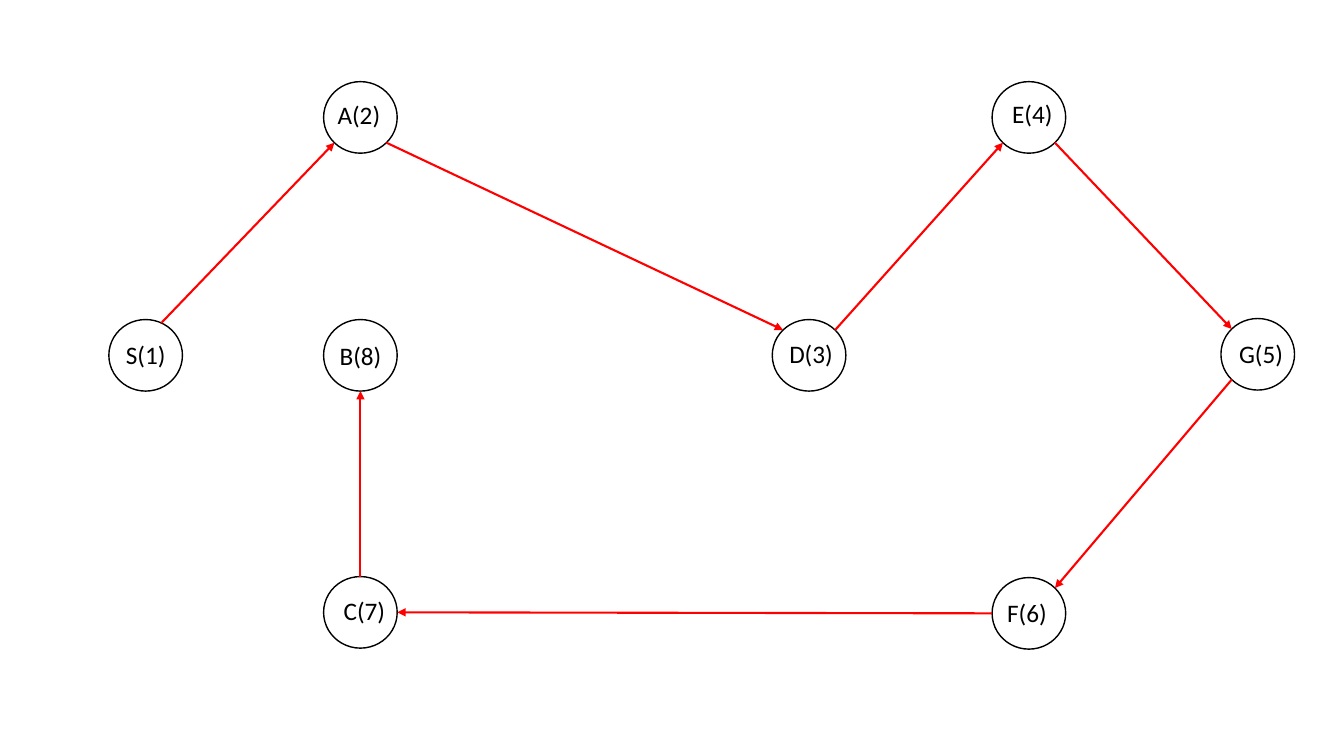
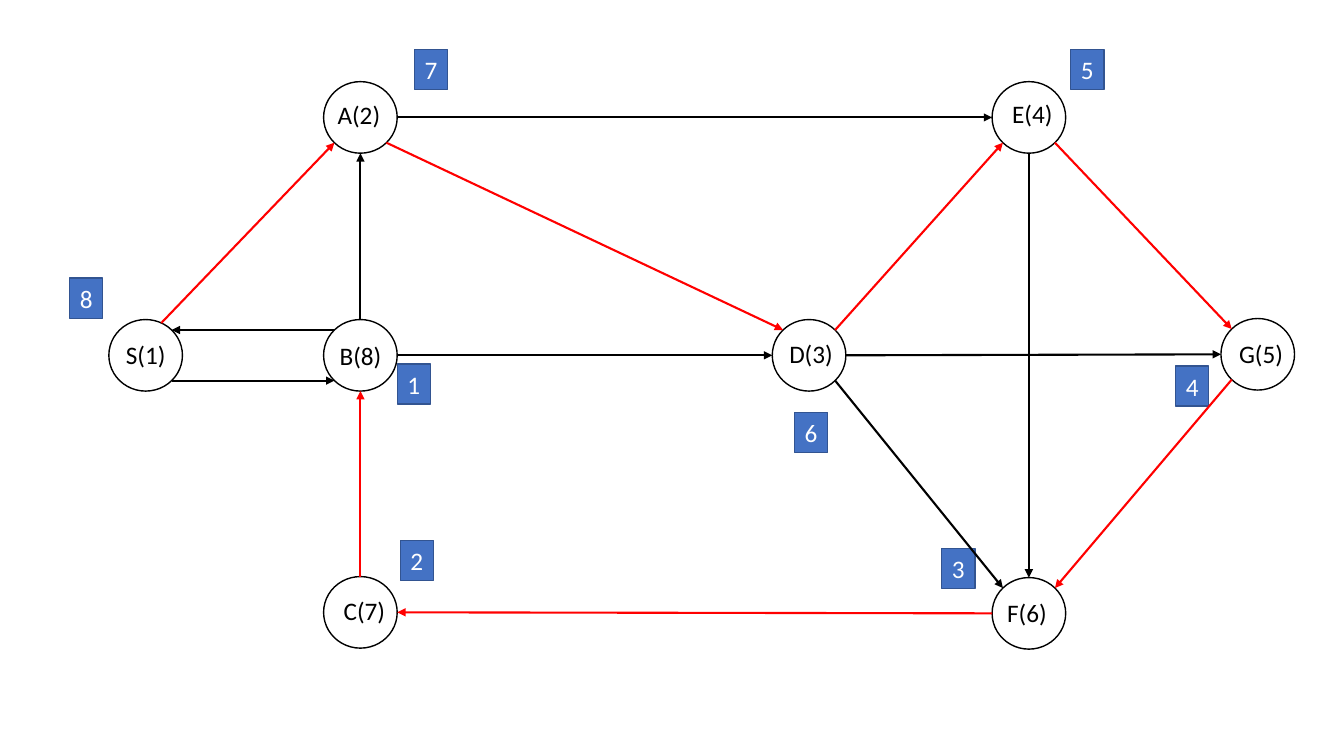
from dataclasses import dataclass
from enum import IntEnum
from math import cos, pi, sin

from lxml.etree import SubElement
from pptx import Presentation
from pptx.dml.color import RGBColor
from pptx.enum.shapes import MSO_CONNECTOR as Connector, MSO_SHAPE as Preset
from pptx.enum.text import MSO_ANCHOR as Anchor, MSO_AUTO_SIZE as AutoSize, PP_ALIGN as Align
from pptx.oxml.ns import qn
from pptx.shapes.autoshape import Shape
from pptx.slide import Slide
from pptx.util import Inches, Pt

# Shared style
BLACK = RGBColor(0x00, 0x00, 0x00)
WHITE = RGBColor(0xFF, 0xFF, 0xFF)
RED = RGBColor(0xFF, 0x00, 0x00)
BLUE = RGBColor(0x44, 0x72, 0xC4)
DARK_BLUE = RGBColor(0x32, 0x54, 0x91)
FONT = "Calibri"
TEXT_SIZE = Pt(18)
NODE_W, NODE_H = 0.73, 0.71
BADGE_W, TEXT_H = 0.33, 0.4


class Site(IntEnum):
    """Connection sites of an ellipse, counter-clockwise from the top."""
    TOP = 0
    TOP_LEFT = 1
    LEFT = 2
    BOTTOM_LEFT = 3
    BOTTOM = 4
    BOTTOM_RIGHT = 5
    RIGHT = 6
    TOP_RIGHT = 7


@dataclass(frozen=True)
class Node:
    order: int
    left: float
    top: float
    label_left: float
    label_top: float
    label_width: float
    wrap: bool

    def point(self, turn: float) -> tuple[float, float]:
        """Point on the rim, in eighths of a turn from the top."""
        angle = turn * pi / 4
        return (self.left + NODE_W / 2 * (1 - sin(angle)),
                self.top + NODE_H / 2 * (1 - cos(angle)))


@dataclass(frozen=True)
class Edge:
    source: str
    leaves: float
    target: str
    enters: float


@dataclass(frozen=True)
class Badge:
    finish: int
    left: float
    top: float


# Graph: visiting order in each node, tree edges in red, the rest in black
NODES = {
    "S": Node(1, 1.08, 3.17, 1.15, 3.32, 0.73, True),
    "A": Node(2, 3.21, 0.81, 3.25, 0.94, 0.63, False),
    "B": Node(8, 3.21, 3.17, 3.27, 3.33, 0.62, False),
    "C": Node(7, 3.21, 5.72, 3.31, 5.86, 0.62, False),
    "F": Node(6, 9.84, 5.73, 9.89, 5.88, 0.82, True),
    "D": Node(3, 7.66, 3.17, 7.73, 3.31, 0.64, False),
    "G": Node(5, 12.11, 3.16, 12.19, 3.31, 0.88, True),
    "E": Node(4, 9.84, 0.81, 9.94, 0.93, 0.84, True),
}
S_TO_A_START = 7.44  # between two connection sites
TREE_EDGES = [
    Edge("S", S_TO_A_START, "A", Site.BOTTOM_LEFT),
    Edge("A", Site.BOTTOM_RIGHT, "D", Site.TOP_LEFT),
    Edge("D", Site.TOP_RIGHT, "E", Site.BOTTOM_LEFT),
    Edge("E", Site.BOTTOM_RIGHT, "G", Site.TOP_LEFT),
    Edge("G", Site.BOTTOM_LEFT, "F", Site.TOP_RIGHT),
    Edge("F", Site.LEFT, "C", Site.RIGHT),
    Edge("C", Site.TOP, "B", Site.BOTTOM),
]
OTHER_EDGES = [
    Edge("E", Site.BOTTOM, "F", Site.TOP),
    Edge("S", Site.BOTTOM_RIGHT, "B", Site.BOTTOM_LEFT),
    Edge("B", Site.TOP_LEFT, "S", Site.TOP_RIGHT),
    Edge("B", Site.RIGHT, "D", Site.LEFT),
    Edge("B", Site.TOP, "A", Site.BOTTOM),
    Edge("A", Site.RIGHT, "E", Site.LEFT),
    Edge("D", Site.BOTTOM_RIGHT, "F", Site.TOP_LEFT),
    Edge("D", Site.RIGHT, "G", Site.LEFT),
]
FINISH_BADGES = [
    Badge(1, 3.94, 3.61), Badge(2, 3.97, 5.36), Badge(3, 9.34, 5.44), Badge(4, 11.66, 3.63),
    Badge(5, 10.62, 0.49), Badge(6, 7.88, 4.09), Badge(7, 4.11, 0.49), Badge(8, 0.69, 2.76),
]


def write(holder: Shape, text: str, color: RGBColor, align: Align, wrap: bool) -> None:
    frame = holder.text_frame
    frame.word_wrap = wrap
    frame.auto_size = AutoSize.SHAPE_TO_FIT_TEXT
    paragraph = frame.paragraphs[0]
    paragraph.text = text
    paragraph.alignment = align
    paragraph.font.name = FONT
    paragraph.font.size = TEXT_SIZE
    paragraph.font.color.rgb = color


def add_block(slide: Slide, preset: Preset, left: float, top: float, width: float,
              height: float, fill: RGBColor, outline: RGBColor) -> Shape:
    block = slide.shapes.add_shape(preset, Inches(left), Inches(top),
                                   Inches(width), Inches(height))
    block.shadow.inherit = False
    block.fill.solid()
    block.fill.fore_color.rgb = fill
    block.line.color.rgb = outline
    block.line.width = Pt(1)
    return block


def add_badge(slide: Slide, badge: Badge) -> None:
    block = add_block(slide, Preset.RECTANGLE, badge.left, badge.top,
                      BADGE_W, TEXT_H, BLUE, DARK_BLUE)
    write(block, str(badge.finish), WHITE, Align.CENTER, wrap=False)
    block.text_frame.vertical_anchor = Anchor.MIDDLE


def add_label(slide: Slide, letter: str, node: Node) -> None:
    label = slide.shapes.add_textbox(Inches(node.label_left), Inches(node.label_top),
                                     Inches(node.label_width), Inches(TEXT_H))
    write(label, f"{letter}({node.order})", BLACK, Align.LEFT, node.wrap)


def add_edge(slide: Slide, edge: Edge, color: RGBColor, circles: dict[str, Shape]) -> None:
    start = NODES[edge.source].point(edge.leaves)
    end = NODES[edge.target].point(edge.enters)
    arrow = slide.shapes.add_connector(Connector.STRAIGHT, *map(Inches, start + end))
    arrow.line.color.rgb = color
    arrow.line.width = Pt(1.5)
    SubElement(arrow.line._get_or_add_ln(), qn("a:tailEnd"), type="triangle")
    SubElement(arrow._element.spPr, qn("a:effectLst"))
    # Attach the ends that sit on a connection site
    joints = arrow._element.nvCxnSpPr.cNvCxnSpPr
    for tag, letter, site in (("a:stCxn", edge.source, edge.leaves),
                              ("a:endCxn", edge.target, edge.enters)):
        if isinstance(site, Site):
            SubElement(joints, qn(tag), id=str(circles[letter].shape_id), idx=str(int(site)))


def add_graph(deck: Presentation, badges: list[Badge],
              edge_groups: list[tuple[RGBColor, list[Edge]]]) -> None:
    slide = deck.slides.add_slide(deck.slide_layouts.get_by_name("Blank"))
    circles = {letter: add_block(slide, Preset.OVAL, node.left, node.top,
                                 NODE_W, NODE_H, WHITE, BLACK)
               for letter, node in NODES.items()}
    for badge in badges:
        add_badge(slide, badge)
    for color, edges in edge_groups:
        for edge in edges:
            add_edge(slide, edge, color, circles)
    for letter, node in NODES.items():
        add_label(slide, letter, node)


deck = Presentation()
deck.slide_width, deck.slide_height = Inches(13.33), Inches(7.5)

# Slide 1: search tree
add_graph(deck, [], [(RED, TREE_EDGES)])

# Slide 2: whole graph with finishing order
add_graph(deck, FINISH_BADGES, [(RED, TREE_EDGES), (BLACK, OTHER_EDGES)])

deck.save("out.pptx")
